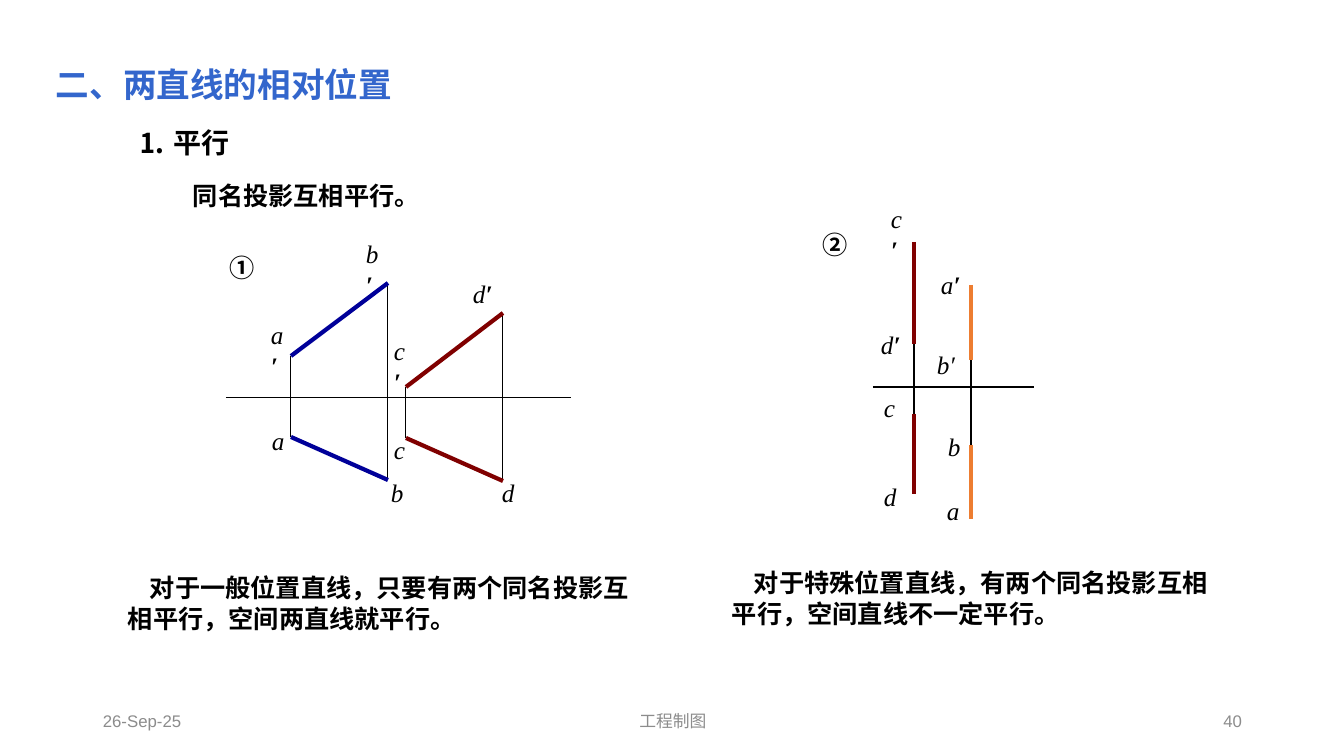
from lxml import etree
from pptx import Presentation
from pptx.dml.color import RGBColor
from pptx.enum.shapes import MSO_CONNECTOR
from pptx.enum.text import MSO_ANCHOR, PP_ALIGN
from pptx.oxml.ns import qn
from pptx.util import Pt

PX = 914400 / 100.8
STRAIGHT = MSO_CONNECTOR.STRAIGHT
TOP, MIDDLE = MSO_ANCHOR.TOP, MSO_ANCHOR.MIDDLE
LEFT, CENTER, RIGHT = PP_ALIGN.LEFT, PP_ALIGN.CENTER, PP_ALIGN.RIGHT
SANS, SERIF, FOOTER = "Noto Sans CJK SC", "Times New Roman", "Arial"
COLORS = {
    "black": "000000",
    "title": "3366CC",
    "footer": "8C8C8C",
    "blue": "000099",
    "red": "800000",
    "orange": "ED7D31",
}
PRIME = "′"
LABEL_HEIGHT = 40

# Projected segments: colour, front start and end, top start and end
GENERAL_SEGMENTS = [
    ("blue", (291, 356), (388, 283), (291, 437), (388, 480)),
    ("red", (406, 387), (503, 313), (406, 438), (503, 481)),
]
SPECIAL_SEGMENTS = [
    ("red", (914, 242), (914, 344), (914, 414), (914, 494)),
    ("orange", (971, 285), (971, 360), (971, 445), (971, 519)),
]

# Point labels: text, left, top, width, wraps, bold prime
GENERAL_LABELS = [
    ("a", 262, 420, 33, False, False),
    ("b", 381, 472, 33, False, False),
    ("c", 384, 429, 32, False, False),
    ("d", 492, 472, 33, False, False),
    ("c′", 384, 346, 38, False, True),
    ("a′", 261, 330, 36, True, True),
    ("b′", 356, 249, 36, True, True),
    ("d′", 463, 273, 100, True, True),
]
SPECIAL_LABELS = [
    ("c", 874, 387, 32, False, False),
    ("b", 938, 426, 33, False, False),
    ("d", 874, 476, 33, False, False),
    ("a", 937, 490, 33, False, False),
    ("d′", 871, 324, 73, True, True),
    ("b′", 927, 344, 39, False, False),
    ("a′", 931, 264, 40, False, True),
    ("c′", 881, 214, 38, False, True),
]


def px(length):
    return round(length * PX)


def add_run(paragraph, text, size=18, font=SANS, color="black", bold=False, italic=False):
    run = paragraph.add_run()
    run.text = text
    run.font.size = Pt(size)
    run.font.bold = bold
    run.font.italic = italic
    run.font.color.rgb = RGBColor.from_string(COLORS[color])
    run.font.name = font
    east_asian = etree.SubElement(run.font._element, qn("a:ea"))
    east_asian.set("typeface", font)


def add_text(shapes, text, box, anchor=TOP, align=LEFT, wrap=True, indent=0,
             bold_prime=False, **style):
    shape = shapes.add_textbox(*map(px, box))
    frame = shape.text_frame
    frame.word_wrap = wrap
    frame.vertical_anchor = anchor
    paragraph = frame.paragraphs[0]
    paragraph.alignment = align
    if indent:
        properties = paragraph._p.get_or_add_pPr()
        properties.set("marL", "0")
        properties.set("indent", str(px(indent)))
    if bold_prime:
        add_run(paragraph, text.removesuffix(PRIME), **style)
        add_run(paragraph, PRIME, **{**style, "bold": True})
    else:
        add_run(paragraph, text, **style)


def add_line(shapes, start, end, color="black", width=0.75):
    line = shapes.add_connector(STRAIGHT, *map(px, (*start, *end)))
    line.line.color.rgb = RGBColor.from_string(COLORS[color])
    line.line.width = Pt(width)
    etree.SubElement(line._element.spPr, qn("a:effectLst"))


def add_figure(slide, number, number_box, axis, segments, links, labels, thin):
    shapes = slide.shapes.add_group_shape().shapes
    # Axis, projection links, then the segments above them
    add_line(shapes, *axis, width=thin)
    for start, end in links:
        add_line(shapes, start, end, width=thin)
    for color, front_start, front_end, top_start, top_end in segments:
        add_line(shapes, front_start, front_end, color, 3)
        add_line(shapes, top_start, top_end, color, 3)
    # Point labels and figure number
    for text, left, top, width, wrap, bold_prime in labels:
        add_text(shapes, text, (left, top, width, LABEL_HEIGHT), anchor=MIDDLE,
                 wrap=wrap, bold_prime=bold_prime, font=SERIF, italic=True)
    add_text(shapes, number, number_box, anchor=MIDDLE, bold=True)


def main():
    presentation = Presentation()
    presentation.slide_width, presentation.slide_height = px(1344), px(756)
    slide = presentation.slides.add_slide(presentation.slide_layouts[6])
    shapes = slide.shapes

    # Footer
    for text, left, width, align in [
        ("26-Sep-25", 93, 302, LEFT),
        ("工程制图", 446, 454, CENTER),
        ("40", 950, 302, RIGHT),
    ]:
        add_text(shapes, text, (left, 701, width, 40), anchor=MIDDLE, align=align,
                 size=12, font=FOOTER, color="footer")

    # Headings
    add_text(shapes, "二、两直线的相对位置", (46, 59, 360, 50), wrap=False,
             size=24, color="title", bold=True)
    add_text(shapes, "⒈ 平行", (129, 121, 113, 44), wrap=False, size=20, bold=True)
    add_text(shapes, "同名投影互相平行。", (183, 175, 423, 40), bold=True)

    # Conclusions under the figures
    for text, box in [
        ("对于一般位置直线，只要有两个同名投影互相平行，空间两直线就平行。", (118, 567, 522, 72)),
        ("对于特殊位置直线，有两个同名投影互相平行，空间直线不一定平行。", (722, 562, 504, 72)),
    ]:
        add_text(shapes, text, box, anchor=MIDDLE, indent=22, bold=True)

    # Lines in general position: every point is linked to its own projection
    general_links = [
        link
        for _, front_start, front_end, top_start, top_end in GENERAL_SEGMENTS
        for link in ((front_start, top_start), (front_end, top_end))
    ]
    add_figure(slide, "①", (220, 247, 69, 40), ((226, 398), (571, 398)),
               GENERAL_SEGMENTS, general_links, GENERAL_LABELS, 0.75)

    # Lines in special position: one link fills the gap between the projections
    special_links = [(segment[2], segment[3]) for segment in SPECIAL_SEGMENTS]
    add_figure(slide, "②", (813, 224, 45, 40), ((873, 387), (1034, 387)),
               SPECIAL_SEGMENTS, special_links, SPECIAL_LABELS, 1)

    presentation.save("out.pptx")


if __name__ == "__main__":
    main()
